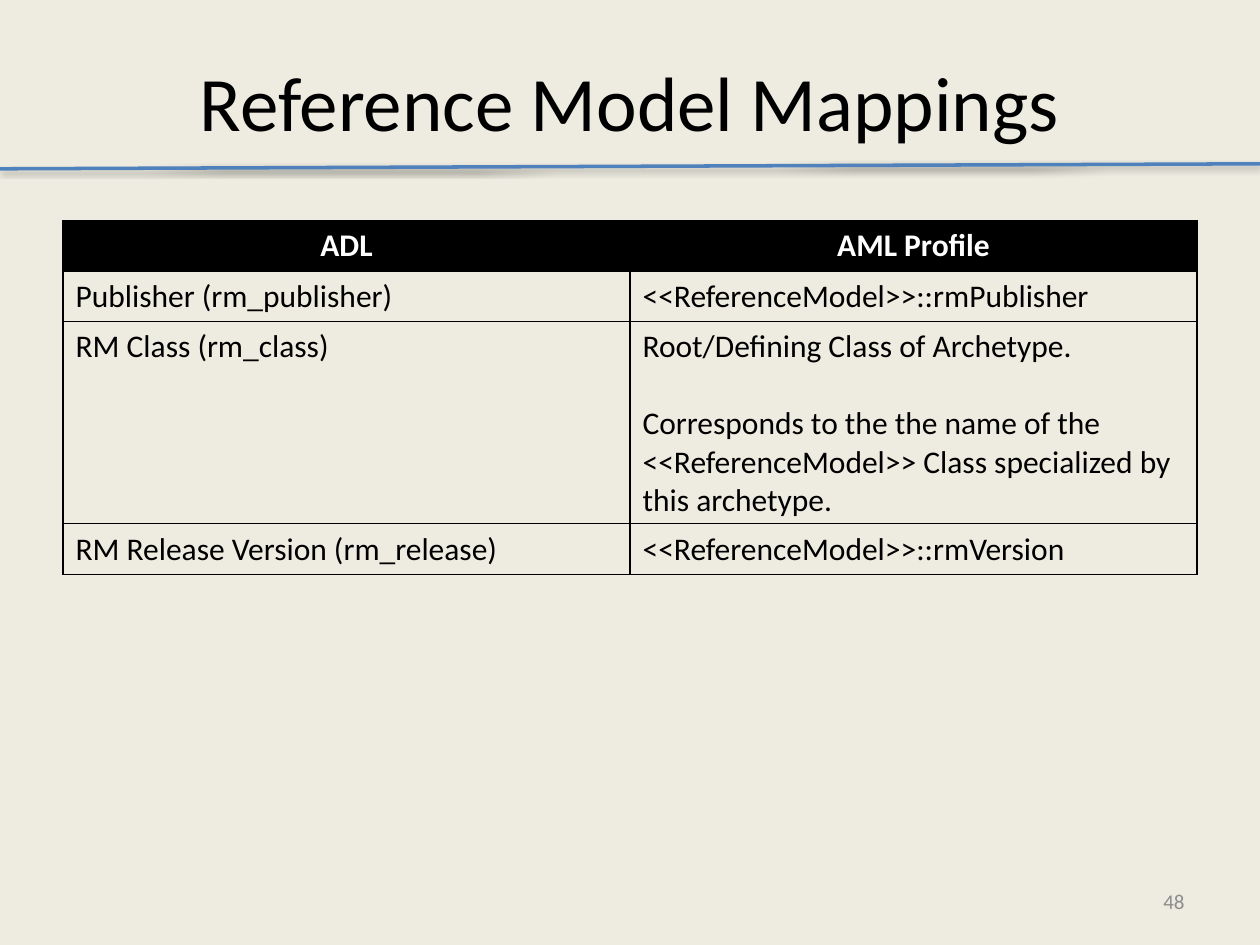
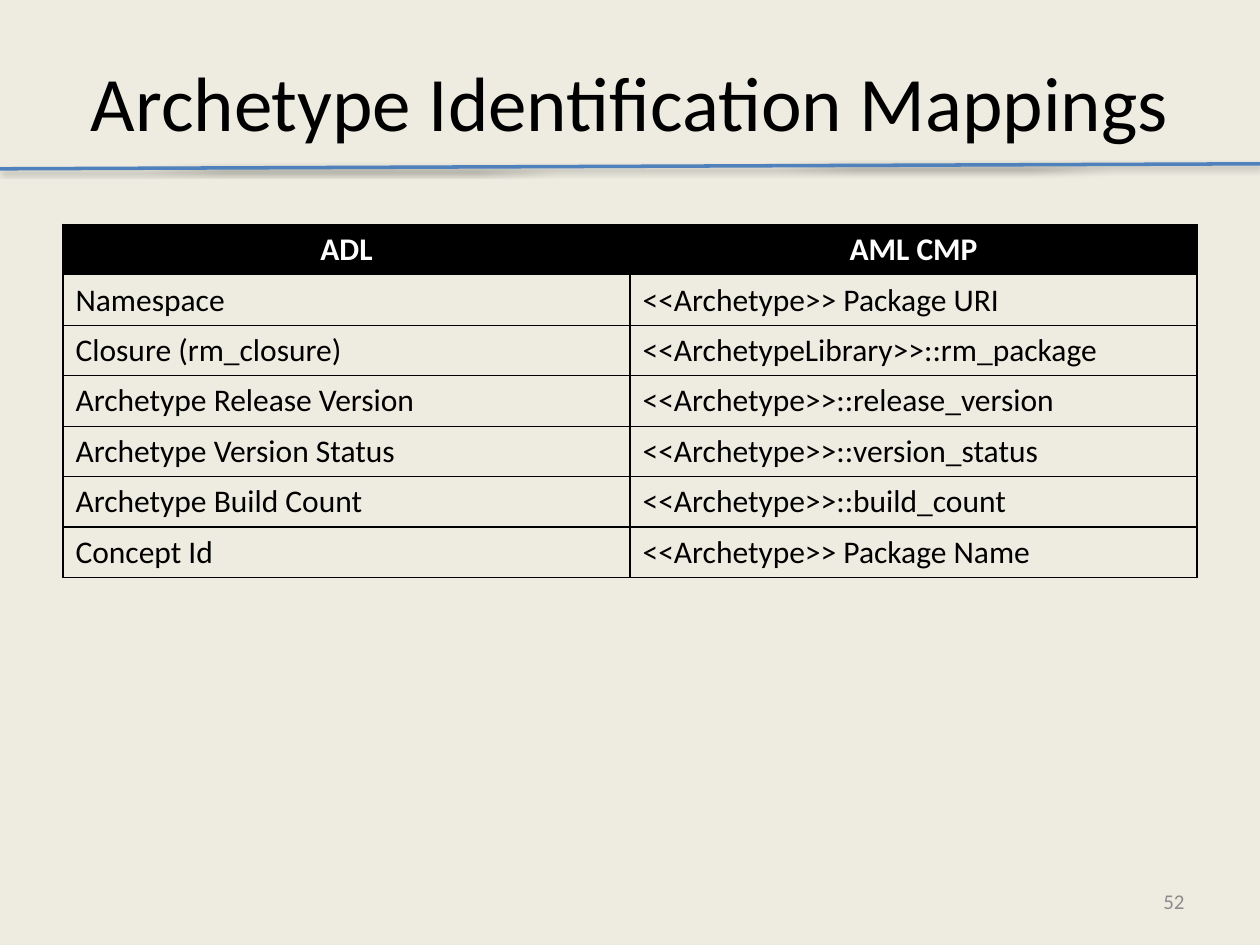
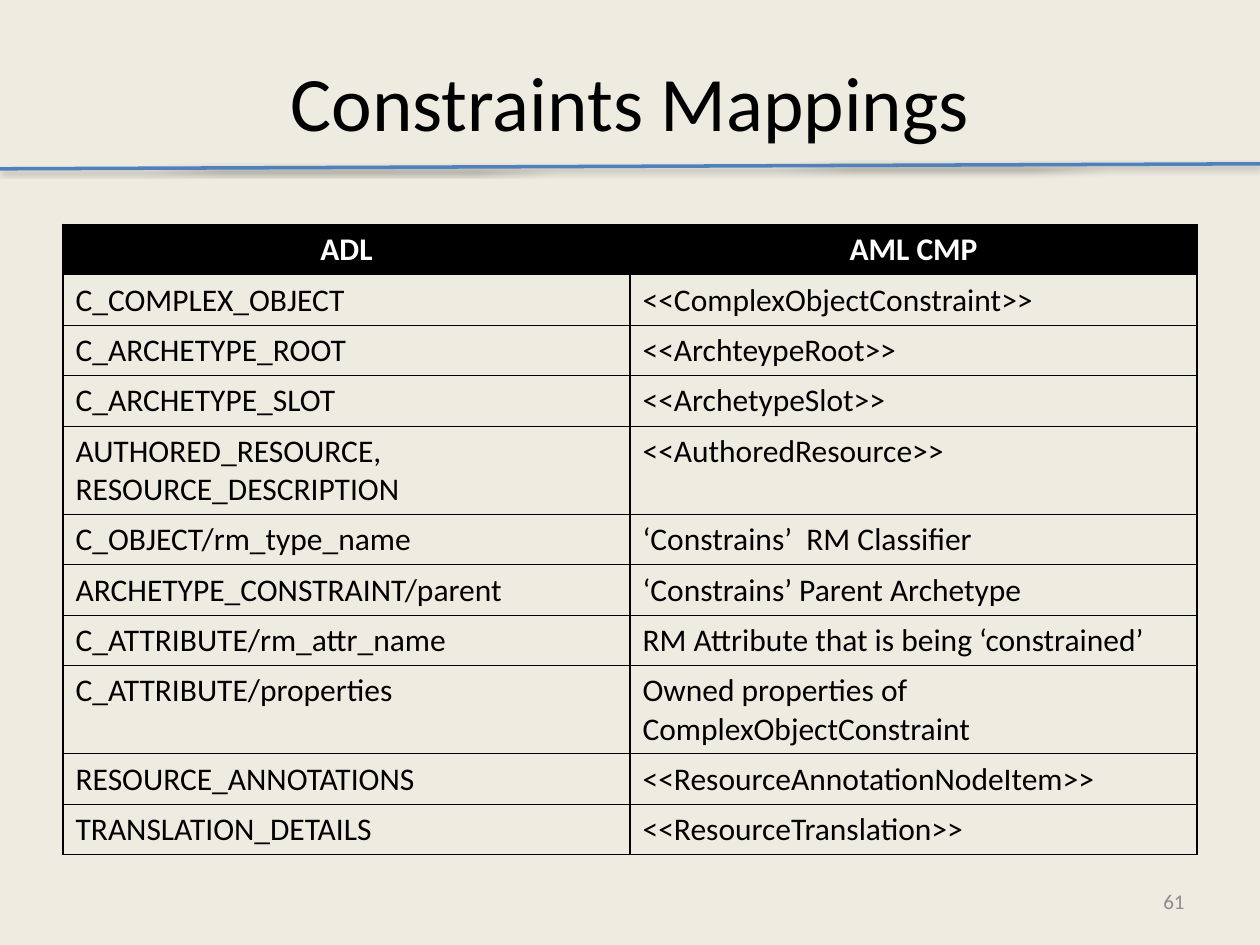
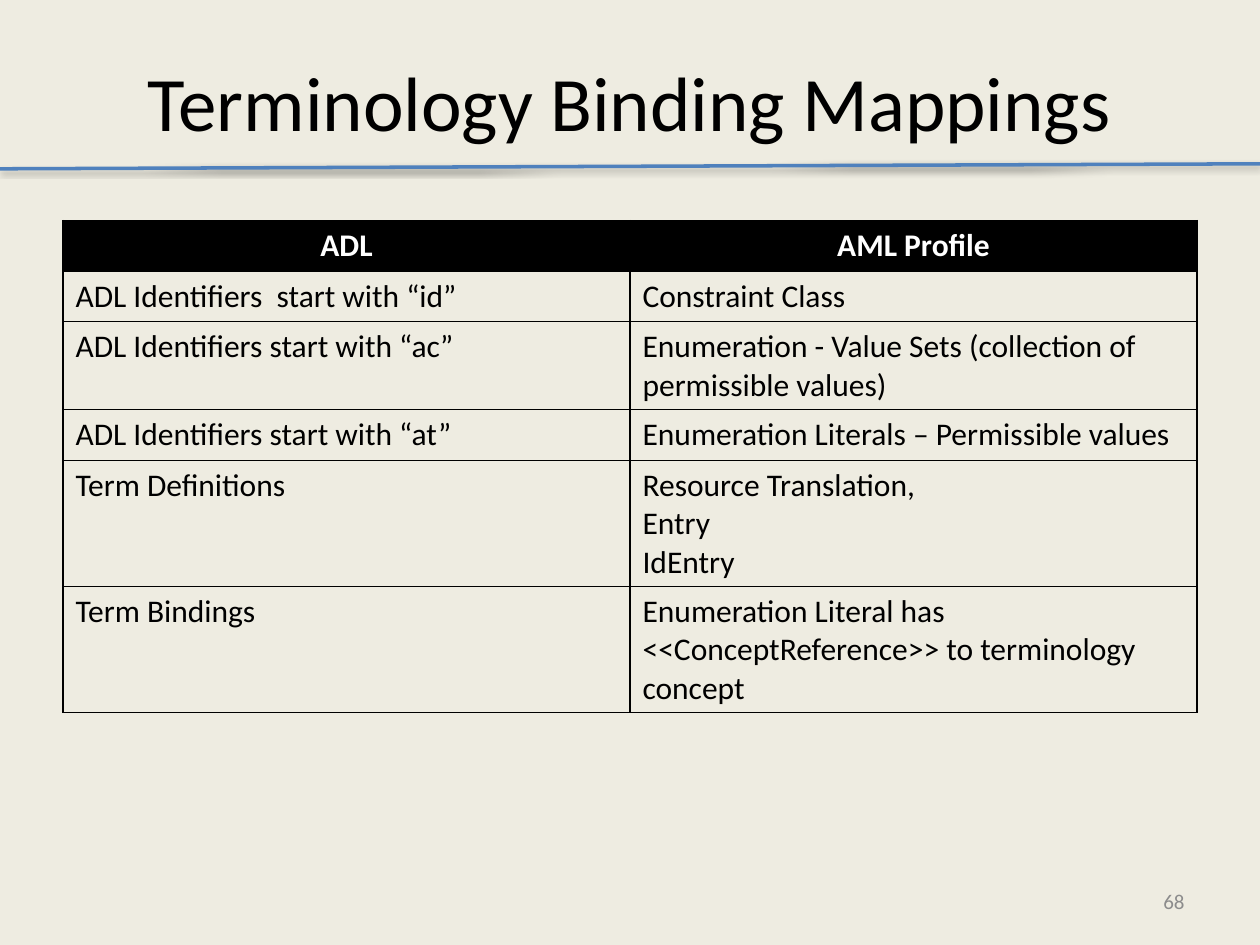
from dataclasses import dataclass

from lxml.etree import SubElement
from pptx import Presentation
from pptx.dml.color import RGBColor
from pptx.enum.shapes import MSO_CONNECTOR
from pptx.enum.text import MSO_ANCHOR as Anchor, PP_ALIGN as Align
from pptx.oxml.ns import qn
from pptx.util import Pt

EMU_PER_PX = 9144  # 100 px to the inch
TITLE_ONLY = 5


def px(length):
    return length * EMU_PER_PX


@dataclass(frozen=True)
class Theme:
    font: str = "Calibri"
    background: str = "EEECE1"
    ink: str = "000000"
    header_text: str = "FFFFFF"
    accent: str = "4F81BD"
    muted: str = "8C8C8C"
    title_size: int = 44
    table_size: int = 18
    number_size: int = 12
    section_gap: int = 22
    rule_width: float = 2
    border: float = 0.75
    divider: float = 1


class Deck:
    def __init__(self, theme):
        self.theme = theme
        self.slide = None
        self.presentation = Presentation()
        self.presentation.slide_width = px(1000)
        self.presentation.slide_height = px(750)
        fill = self.presentation.slide_master.background.fill
        fill.solid()
        fill.fore_color.rgb = RGBColor.from_string(theme.background)

    def add_slide(self, title, number):
        layout = self.presentation.slide_layouts[TITLE_ONLY]
        self.slide = self.presentation.slides.add_slide(layout)
        self.add_number(number)
        self.add_rule()
        self.add_title(title)

    def add_text(self, paragraph, text, size, color, align=Align.LEFT, bold=False):
        paragraph.alignment = align
        run = paragraph.add_run()
        run.text = text
        run.font.name = self.theme.font
        run.font.size = Pt(size)
        run.font.bold = bold
        run.font.color.rgb = RGBColor.from_string(color)

    def add_title(self, text):
        title = self.slide.shapes.title
        title.left, title.top, title.width, title.height = map(px, (50, 30, 900, 100))
        frame = title.text_frame
        frame.vertical_anchor = Anchor.MIDDLE
        self.add_text(frame.paragraphs[0], text, self.theme.title_size,
                      self.theme.ink, Align.CENTER)

    def add_number(self, number):
        box = self.slide.shapes.add_textbox(*map(px, (717, 695, 233, 40)))
        frame = box.text_frame
        frame.word_wrap = True
        frame.vertical_anchor = Anchor.MIDDLE
        self.add_text(frame.paragraphs[0], str(number), self.theme.number_size,
                      self.theme.muted, Align.RIGHT)

    def add_rule(self):
        """Slightly rising line under the title, with a soft shadow."""
        rule = self.slide.shapes.add_connector(
            MSO_CONNECTOR.STRAIGHT, *map(px, (0, 134, 1000, 130)))
        rule.line.color.rgb = RGBColor.from_string(self.theme.accent)
        rule.line.width = Pt(self.theme.rule_width)
        effects = SubElement(rule._element.spPr, qn("a:effectLst"))
        shadow = SubElement(effects, qn("a:outerShdw"), blurRad=str(Pt(3.1)),
                            dist=str(Pt(1.6)), dir="5400000", rotWithShape="0")
        color = SubElement(shadow, qn("a:srgbClr"), val=self.theme.ink)
        SubElement(color, qn("a:alpha"), val="38000")

    def add_borders(self, cell, left, right):
        properties = cell._tc.get_or_add_tcPr()
        sides = {"L": left, "R": right, "T": self.theme.border, "B": self.theme.border}
        for side, width in sides.items():
            line = SubElement(properties, qn(f"a:ln{side}"), w=str(Pt(width)))
            fill = SubElement(line, qn("a:solidFill"))
            SubElement(fill, qn("a:srgbClr"), val=self.theme.ink)

    def fill_cell(self, cell, text, is_header):
        theme = self.theme
        if is_header:
            cell.fill.solid()
            cell.fill.fore_color.rgb = RGBColor.from_string(theme.ink)
        else:
            cell.fill.background()
        color = theme.header_text if is_header else theme.ink
        align = Align.CENTER if is_header else Align.LEFT
        frame = cell.text_frame
        # A blank line in the data starts a new section of the cell
        for section_index, section in enumerate(text.split("\n\n")):
            for line_index, line in enumerate(section.split("\n")):
                is_first = section_index == line_index == 0
                paragraph = frame.paragraphs[0] if is_first else frame.add_paragraph()
                if section_index and not line_index:
                    paragraph.space_before = Pt(theme.section_gap)
                self.add_text(paragraph, line, theme.table_size, color, align, is_header)

    def add_mapping_table(self, top, rows):
        row_height = 40
        frame = self.slide.shapes.add_table(
            len(rows), 2, *map(px, (50, top, 900, row_height * len(rows))))
        table = frame.table
        table.horz_banding = False
        outer, divider = self.theme.border, self.theme.divider
        for row_index, row in enumerate(rows):
            for column_index, text in enumerate(row):
                cell = table.cell(row_index, column_index)
                widths = (divider, outer) if column_index else (outer, divider)
                self.add_borders(cell, *widths)
                self.fill_cell(cell, text, row_index == 0)


# Title, slide number, table top, table rows
MAPPINGS = [
    ("Reference Model Mappings", 48, 175, [
        ("ADL", "AML Profile"),
        ("Publisher (rm_publisher)", "<<ReferenceModel>>::rmPublisher"),
        ("RM Class (rm_class)",
         "Root/Defining Class of Archetype.\n\n"
         "Corresponds to the the name of the <<ReferenceModel>> Class "
         "specialized by this archetype."),
        ("RM Release Version (rm_release)", "<<ReferenceModel>>::rmVersion"),
    ]),
    ("Archetype Identification Mappings", 52, 178, [
        ("ADL", "AML CMP"),
        ("Namespace", "<<Archetype>> Package URI"),
        ("Closure (rm_closure)", "<<ArchetypeLibrary>>::rm_package"),
        ("Archetype Release Version", "<<Archetype>>::release_version"),
        ("Archetype Version Status", "<<Archetype>>::version_status"),
        ("Archetype Build Count", "<<Archetype>>::build_count"),
        ("Concept Id", "<<Archetype>> Package Name"),
    ]),
    ("Constraints Mappings", 61, 178, [
        ("ADL", "AML CMP"),
        ("C_COMPLEX_OBJECT", "<<ComplexObjectConstraint>>"),
        ("C_ARCHETYPE_ROOT", "<<ArchteypeRoot>>"),
        ("C_ARCHETYPE_SLOT", "<<ArchetypeSlot>>"),
        ("AUTHORED_RESOURCE,\nRESOURCE_DESCRIPTION", "<<AuthoredResource>>"),
        ("C_OBJECT/rm_type_name", "‘Constrains’  RM Classifier"),
        ("ARCHETYPE_CONSTRAINT/parent", "‘Constrains’ Parent Archetype"),
        ("C_ATTRIBUTE/rm_attr_name", "RM Attribute that is being ‘constrained’"),
        ("C_ATTRIBUTE/properties", "Owned properties of ComplexObjectConstraint"),
        ("RESOURCE_ANNOTATIONS", "<<ResourceAnnotationNodeItem>>"),
        ("TRANSLATION_DETAILS", "<<ResourceTranslation>>"),
    ]),
    ("Terminology Binding Mappings", 68, 175, [
        ("ADL", "AML Profile"),
        ("ADL Identifiers  start with “id”", "Constraint Class"),
        ("ADL Identifiers start with “ac”",
         "Enumeration - Value Sets (collection of permissible values)"),
        ("ADL Identifiers start with “at”",
         "Enumeration Literals – Permissible values"),
        ("Term Definitions", "Resource Translation,\nEntry\nIdEntry"),
        ("Term Bindings",
         "Enumeration Literal has <<ConceptReference>> to terminology concept"),
    ]),
]


def main():
    deck = Deck(Theme())
    for title, number, table_top, rows in MAPPINGS:
        deck.add_slide(title, number)
        deck.add_mapping_table(table_top, rows)
    deck.presentation.save("out.pptx")


if __name__ == "__main__":
    main()
